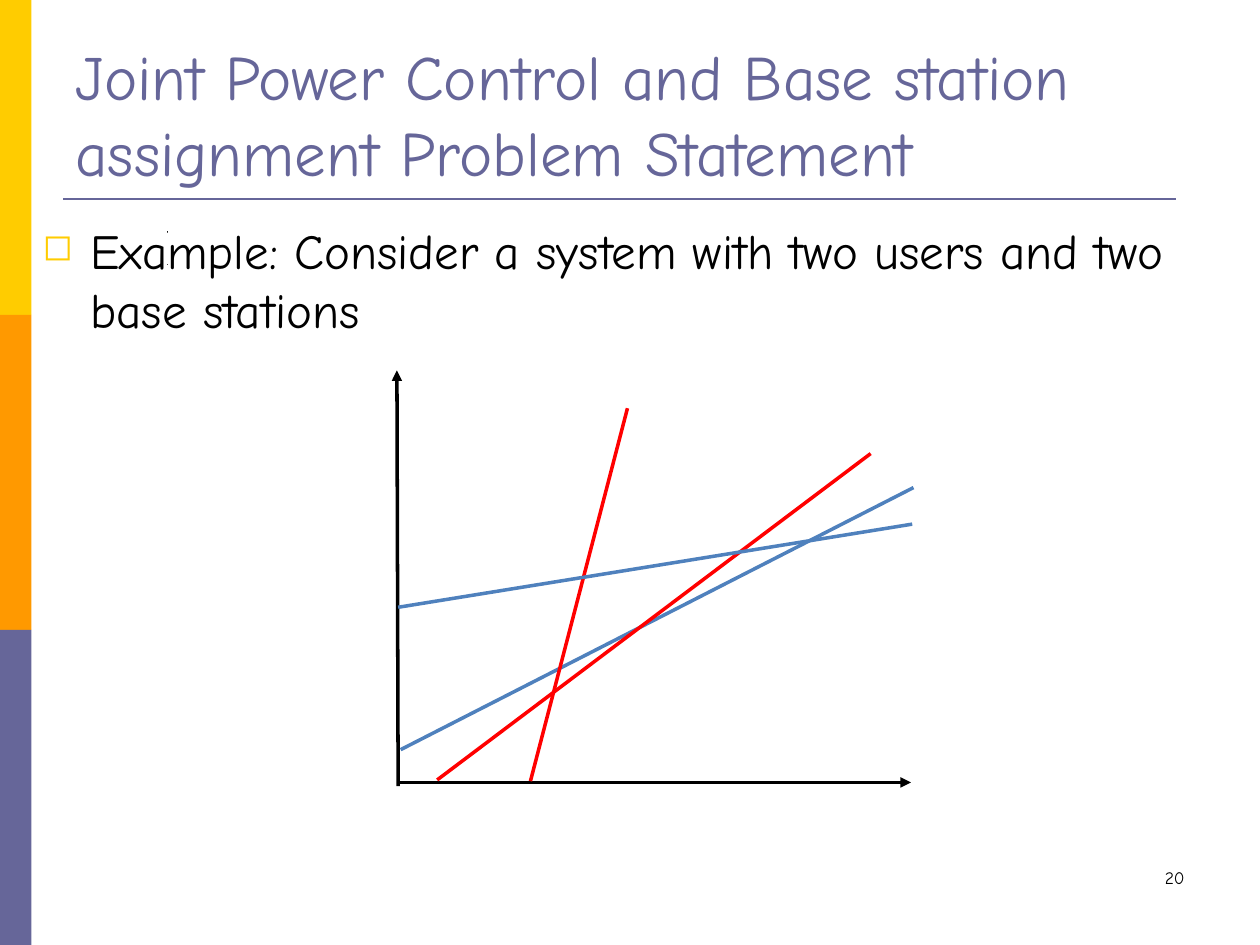
from lxml import etree
from pptx import Presentation
from pptx.dml.color import RGBColor
from pptx.enum import shapes, text
from pptx.oxml.ns import qn
from pptx.util import Inches, Pt

FONT = "Comic Neue"
YELLOW, ORANGE, PURPLE = "FFCC00", "FF9900", "666699"
BLACK, BLUE, RED = "000000", "4F81BD", "FF0000"


def color(code):
    return RGBColor.from_string(code)


def add_rect(slide, box, fill, edge=None):
    rect = slide.shapes.add_shape(
        shapes.MSO_SHAPE.RECTANGLE, *[Inches(v) for v in box])
    rect.shadow.inherit = False
    rect.fill.solid()
    rect.fill.fore_color.rgb = color(fill)
    if edge:
        rect.line.color.rgb = color(edge)
        rect.line.width = Pt(0.75)
    else:
        rect.line.fill.background()


def add_line(slide, start, end, ink, width=2, arrow=False):
    line = slide.shapes.add_connector(
        shapes.MSO_CONNECTOR.STRAIGHT, *[Inches(v) for v in (*start, *end)])
    line.line.color.rgb = color(ink)
    line.line.width = Pt(width)
    if arrow:
        etree.SubElement(line.line._get_or_add_ln(), qn("a:tailEnd"), type="triangle")
    etree.SubElement(line._element.spPr, qn("a:effectLst"))


def add_bullet(para):
    props = para._p.get_or_add_pPr()
    props.set("marL", str(Inches(0.38)))
    props.set("indent", str(-Inches(0.38)))
    tint = etree.SubElement(props, qn("a:buClr"))
    etree.SubElement(tint, qn("a:srgbClr"), val=YELLOW)
    etree.SubElement(props, qn("a:buSzPct"), val="75000")
    etree.SubElement(props, qn("a:buChar"), char="◻")


def add_text(slide, box, words, size, ink, align=text.PP_ALIGN.LEFT,
             anchor=text.MSO_ANCHOR.TOP, bullet=False):
    frame = slide.shapes.add_textbox(*[Inches(v) for v in box]).text_frame
    frame.word_wrap = True
    frame.vertical_anchor = anchor
    frame.text = words
    para = frame.paragraphs[0]
    para.alignment = align
    if bullet:
        add_bullet(para)
    font = para.runs[0].font
    font.name, font.size = FONT, Pt(size)
    font.color.rgb = color(ink)


def add_side(slide, left, top, width, height):
    # Three equal bands down the left edge
    band = height / 3
    for row, fill in enumerate((YELLOW, ORANGE, PURPLE)):
        add_rect(slide, (left, top + row * band, width, band), fill)


def add_title(slide, left, top, width, height):
    add_text(slide, (left, top, width, height),
             "Joint Power Control and Base station assignment Problem Statement",
             36, PURPLE, anchor=text.MSO_ANCHOR.BOTTOM)
    rule = top + height + 0.03
    add_line(slide, (left, rule), (left + 8.83, rule), PURPLE, 1.5)


def add_plot(slide, left, top, width, height):
    # Offsets are measured from the top left of the plot
    def draw(start, end, ink, arrow=False):
        ends = [(left + x, top + y) for x, y in (start, end)]
        add_line(slide, *ends, ink, arrow=arrow)

    # Axes
    draw((0.01, height), (0, 0), BLACK, True)
    draw((0.01, height - 0.03), (width, height - 0.03), BLACK, True)

    # Limits for each user and base station
    for start, end, ink in (
        ((0.03, 3.01), (4.1, 0.93), BLUE),
        ((1.06, 3.26), (1.83, 0.3), RED),
        ((0.32, 3.25), (3.76, 0.66), RED),
        ((0.01, 1.88), (4.09, 1.22), BLUE),
    ):
        draw(start, end, ink)


def add_body(slide, left, top, width, height):
    # Two small dots behind the text
    for drop in (0.14, 0.4):
        add_rect(slide, (left + 1.09, top + drop, 0, 0), ORANGE, BLACK)
    add_text(slide, (left, top, width, height),
             "Example: Consider a system with two users and two base stations",
             28, BLACK, bullet=True)


def main():
    deck = Presentation()
    deck.slide_width, deck.slide_height = Inches(10), Inches(7.5)
    slide = deck.slides.add_slide(deck.slide_layouts[6])
    add_side(slide, 0, 0, 0.25, 7.5)
    add_title(slide, 0.5, 0.3, 9, 1.25)
    # Page number
    add_text(slide, (7.17, 6.83, 2.33, 0.5), "20", 10, BLACK,
             align=text.PP_ALIGN.RIGHT)
    add_plot(slide, 3.15, 2.94, 4.08, 3.3)
    add_body(slide, 0.24, 1.7, 9.25, 1.04)
    deck.save("out.pptx")


if __name__ == "__main__":
    main()
